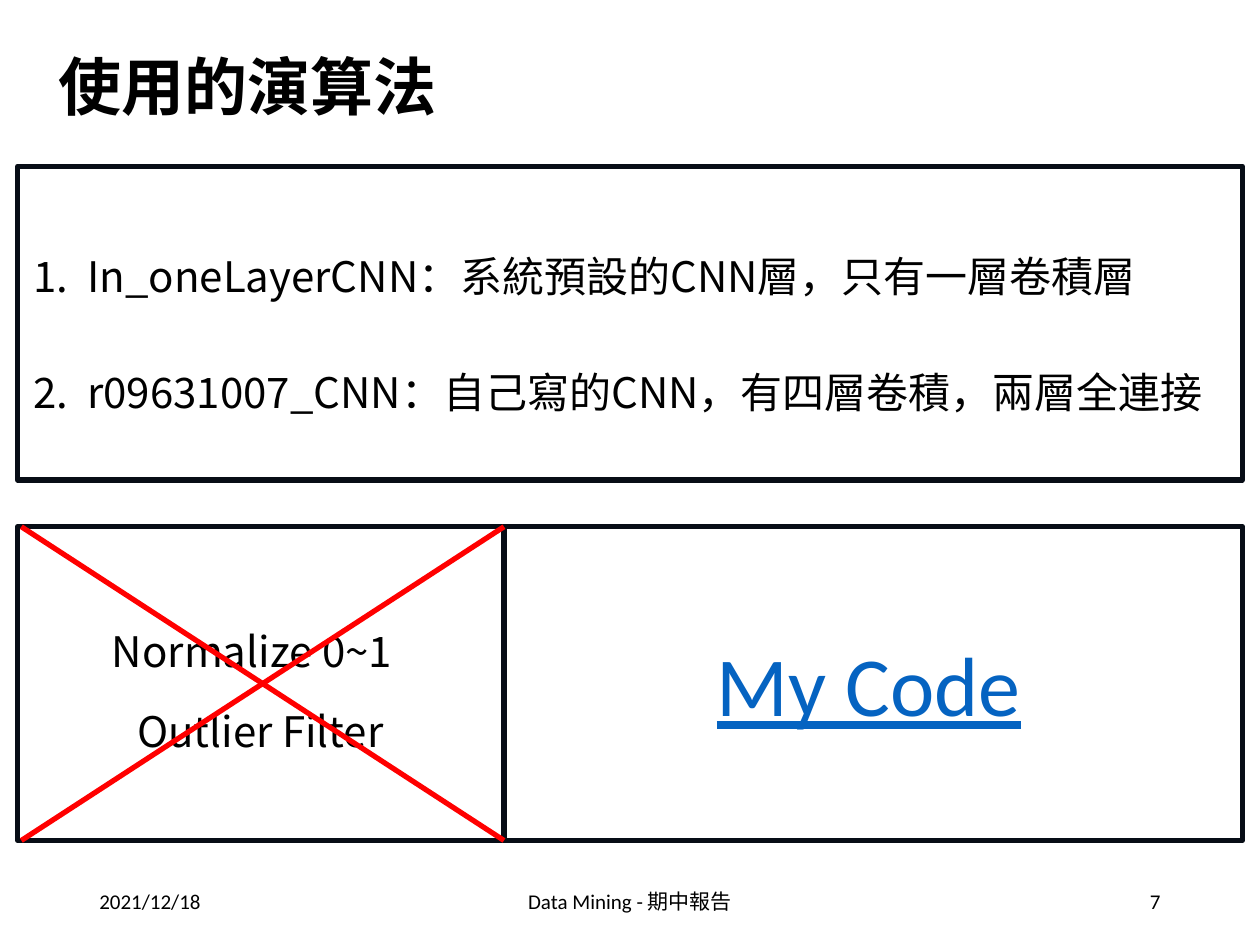
import dataclasses

import lxml.etree
import pptx
import pptx.dml.color
import pptx.enum.shapes
import pptx.enum.text
import pptx.oxml.ns
import pptx.util

Pt = pptx.util.Pt
Align = pptx.enum.text.PP_ALIGN
Anchor = pptx.enum.text.MSO_ANCHOR
AutoSize = pptx.enum.text.MSO_AUTO_SIZE
qn = pptx.oxml.ns.qn


@dataclasses.dataclass(frozen=True)
class Theme:
    ink: str = "000000"
    frame: str = "070D16"
    cross: str = "FF0000"
    link: str = "0563C1"
    cjk: str = "Noto Sans CJK SC"
    latin: str = "Calibri"
    title: int = 36
    body: int = 24
    footer: int = 12
    code: int = 48
    stroke: int = 3


theme = Theme()
presentation = pptx.Presentation()
presentation.slide_width = Pt(720)
presentation.slide_height = Pt(540)
slide = presentation.slides.add_slide(presentation.slide_layouts[6])


def add_text(text, *, box, size, font=theme.cjk, color=theme.ink, bold=False,
             underline=False, align=Align.LEFT, anchor=Anchor.TOP, wrap=True, grow=True):
    shape = slide.shapes.add_textbox(*map(Pt, box))
    frame = shape.text_frame
    frame.word_wrap = wrap
    frame.auto_size = AutoSize.SHAPE_TO_FIT_TEXT if grow else AutoSize.NONE
    frame.vertical_anchor = anchor
    paragraph = frame.paragraphs[0]
    paragraph.alignment = align
    run = paragraph.add_run()
    run.text = text
    run.font.size = Pt(size)
    run.font.name = font
    run.font.bold = bold
    run.font.underline = underline
    run.font.color.rgb = pptx.dml.color.RGBColor.from_string(color)
    east_asian = lxml.etree.Element(qn("a:ea"), typeface=theme.cjk)
    run.font._element.find(qn("a:latin")).addnext(east_asian)


def add_line(start, end, color):
    connector = slide.shapes.add_connector(
        pptx.enum.shapes.MSO_CONNECTOR.STRAIGHT, *map(Pt, start + end))
    connector.line.width = Pt(theme.stroke)
    connector.line.color.rgb = pptx.dml.color.RGBColor.from_string(color)
    lxml.etree.SubElement(connector._element.spPr, qn("a:effectLst"))


add_text("使用的演算法", box=(26.6, 23.8, 417.6, 51), size=theme.title, bold=True)

footers = [
    ("2021/12/18", 49.7, 162, Align.LEFT),
    ("Data Mining - 期中報告", 238.3, 243.4, Align.CENTER),
    ("7", 508.3, 162, Align.RIGHT),
]
for text, left, width, align in footers:
    add_text(text, box=(left, 500.4, width, 28.8), size=theme.footer, font=theme.latin,
             align=align, anchor=Anchor.MIDDLE, grow=False)

frame_left, frame_width, frame_height = 10.1, 699.8, 179.3
upper_top, lower_top = 95, 301
for top in (upper_top, lower_top):
    rectangle = slide.shapes.add_shape(
        pptx.enum.shapes.MSO_SHAPE.RECTANGLE,
        Pt(frame_left), Pt(top), Pt(frame_width), Pt(frame_height))
    rectangle.shadow.inherit = False
    rectangle.fill.background()
    rectangle.line.width = Pt(theme.stroke)
    rectangle.line.color.rgb = pptx.dml.color.RGBColor.from_string(theme.frame)

body_lines = [
    ("1.  In_oneLayerCNN：系統預設的CNN層，只有一層卷積層", (12.2, 139.7, 681.1, 65.5)),
    ("2.  r09631007_CNN：自己寫的CNN，有四層卷積，兩層全連接", (12.2, 205.9, 700.6, 36)),
    ("Normalize 0~1", (56.9, 354.2, 184.3, 36)),
    ("Outlier Filter", (71.3, 399.6, 155.5, 36)),
]
for text, box in body_lines:
    add_text(text, box=box, size=theme.body, wrap=False)

divider = 288
lower_bottom = lower_top + frame_height
cross_left = 12.2
add_line((divider, lower_top), (divider, lower_bottom), theme.frame)
add_line((cross_left, lower_top), (divider, lower_bottom), theme.cross)
add_line((divider, lower_top), (cross_left, lower_bottom), theme.cross)

add_text("My Code", box=(402.5, 357.8, 193.7, 65.5), size=theme.code, font=theme.latin,
         color=theme.link, underline=True)

presentation.save("out.pptx")
